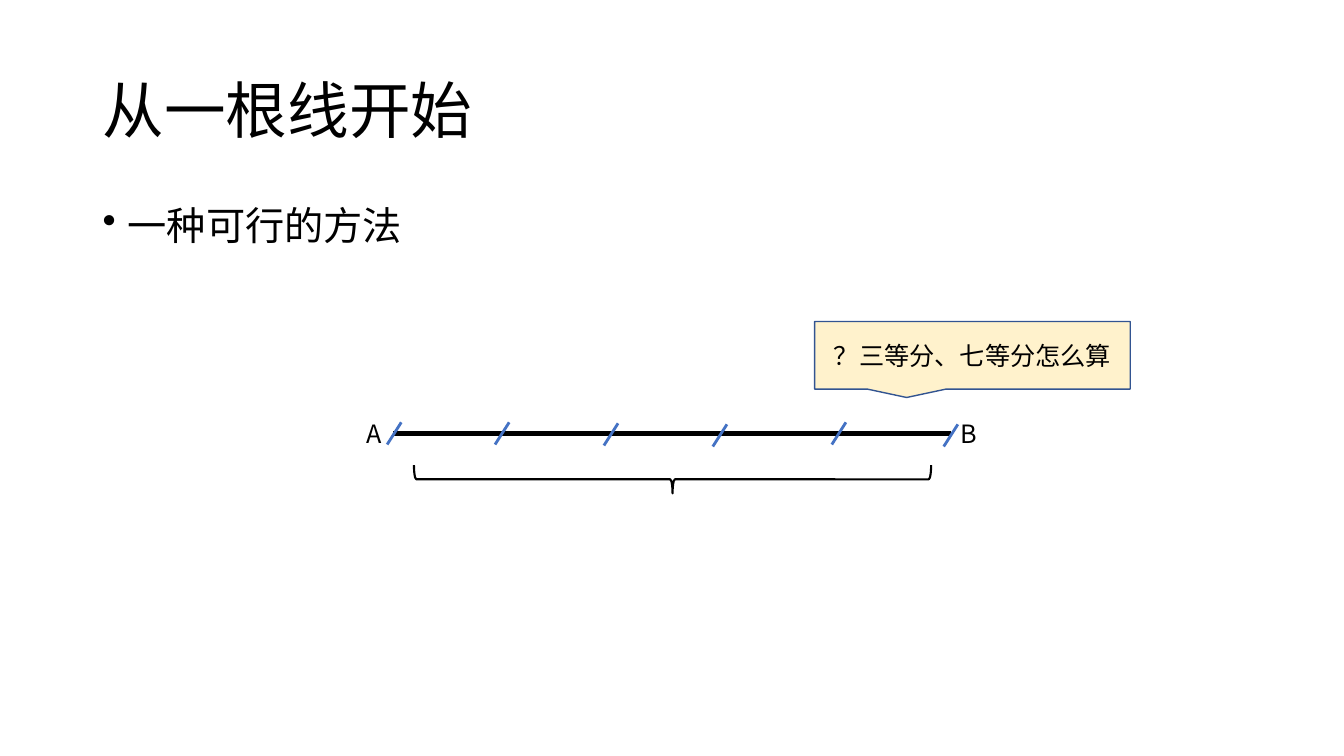
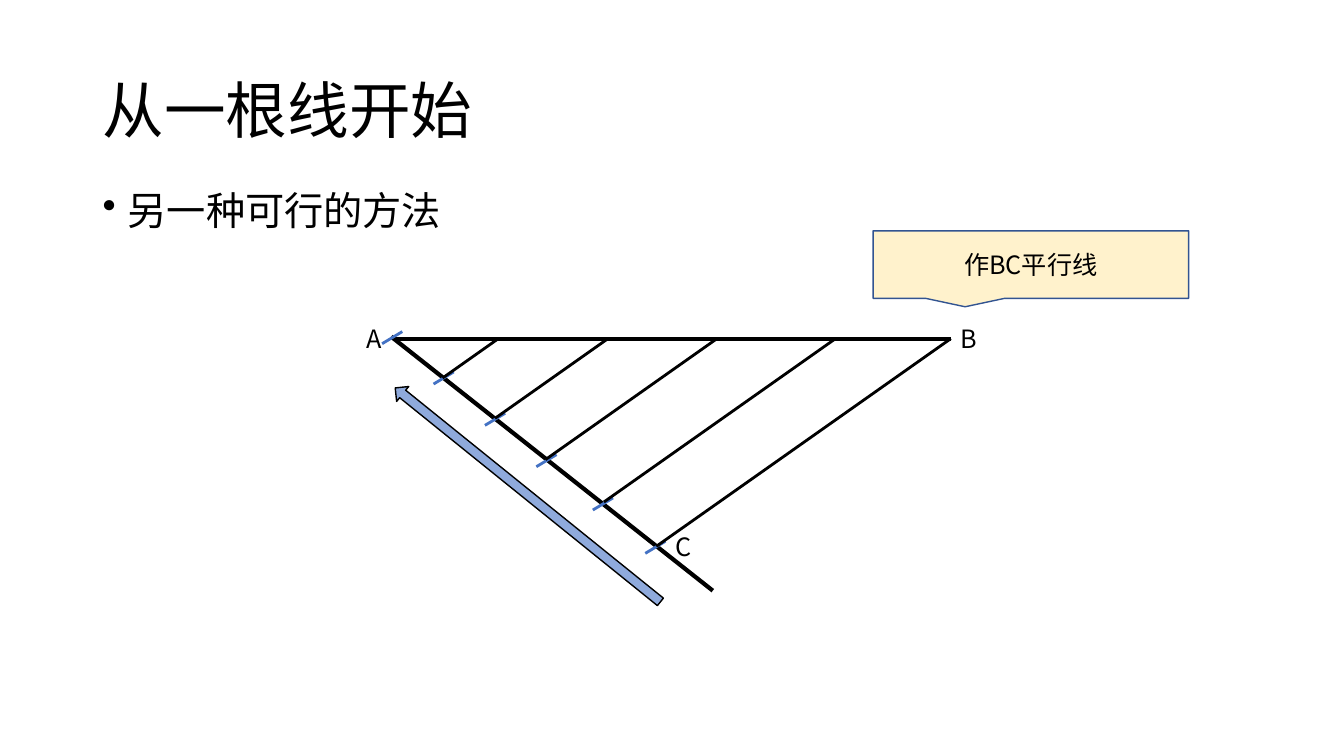
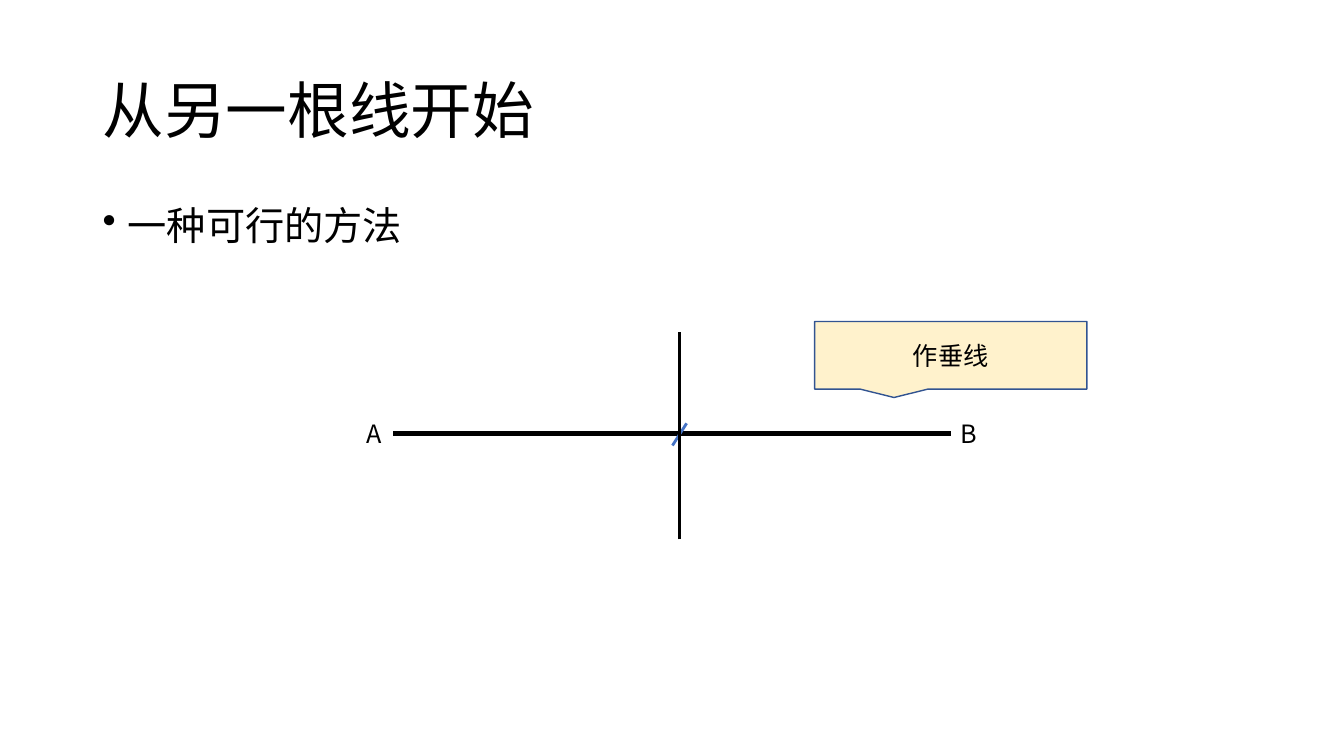
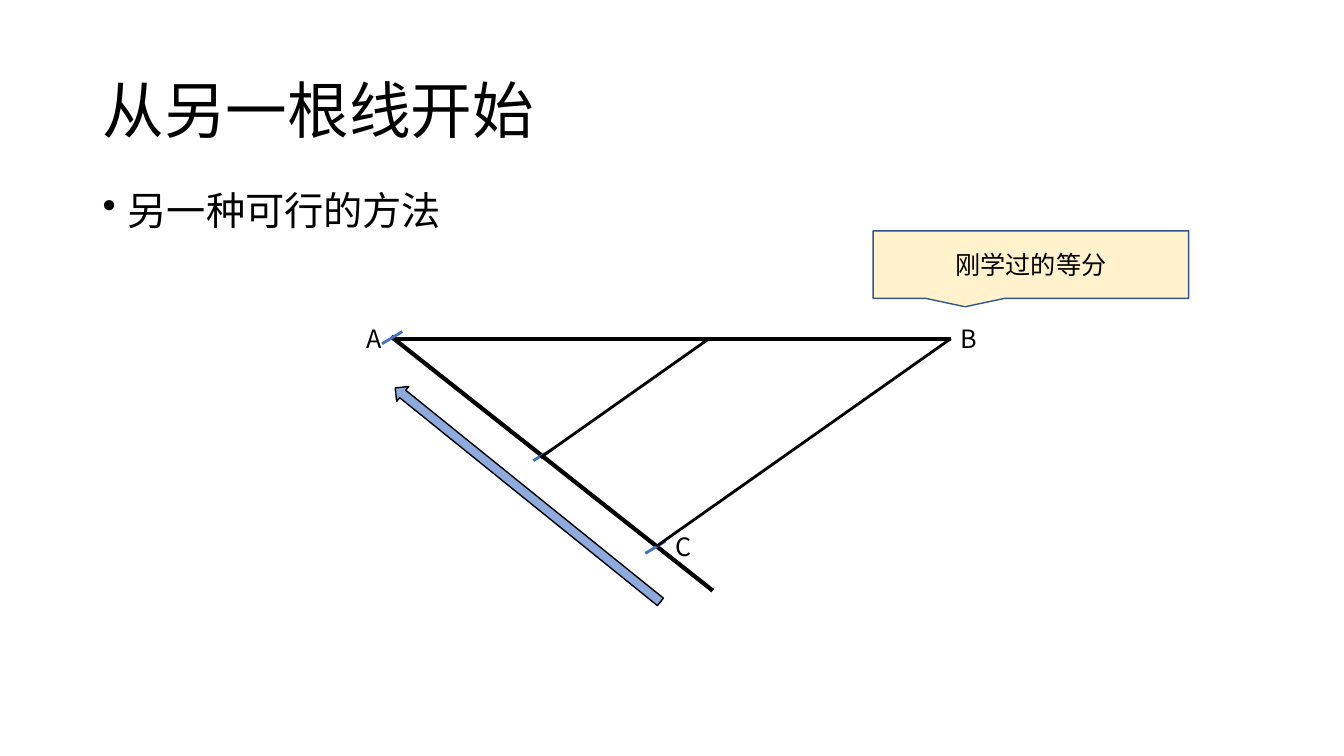
import pptx
import pptx.util
import pptx.dml.color
import pptx.enum.shapes
import pptx.enum.text
import pptx.oxml.ns
import lxml.etree

Inches = pptx.util.Inches
Pt = pptx.util.Pt
RGBColor = pptx.dml.color.RGBColor
Shape = pptx.enum.shapes.MSO_SHAPE
Anchor = pptx.enum.text.MSO_ANCHOR
qn = pptx.oxml.ns.qn

FONT = "Noto Sans CJK SC"
BLACK = RGBColor(0x00, 0x00, 0x00)
TICK_BLUE = RGBColor(0x44, 0x72, 0xC4)
ARROW_BLUE = RGBColor(0x8F, 0xAA, 0xDC)
CALLOUT_FILL = RGBColor(0xFF, 0xF2, 0xCC)
CALLOUT_LINE = RGBColor(0x32, 0x54, 0x91)

LEFT_END, RIGHT_END = 3.9, 9.43
MEASURE_Y, PARALLEL_Y = 4.3, 3.36
POINT_C = (6.51, 5.42)
STEEP_TICK = (0.07, 0.11)
FLAT_TICK = (0.1, 0.06)

# Ticks are centre points; parallels are the points where lines parallel to BC start.
SLIDES = [
    {"title": "从一根线开始", "method": "measure", "body": "一种可行的方法",
     "callout": ("？三等分、七等分怎么算", 3.13), "brace": True,
     "ticks": [(3.91, 4.3), (4.98, 4.3), (6.06, 4.31),
               (7.14, 4.32), (8.32, 4.3), (9.43, 4.32)]},
    {"title": "从一根线开始", "method": "parallel", "body": "另一种可行的方法",
     "callout": ("作BC平行线", 3.13),
     "ticks": [(3.89, 3.35), (4.4, 3.75), (4.91, 4.16),
               (5.42, 4.57), (5.98, 5), (6.5, 5.43)],
     "parallels": [POINT_C, (5.99, 4.98), (5.41, 4.56), (4.91, 4.15), (4.39, 3.75)]},
    {"title": "从另一根线开始", "method": "measure", "body": "一种可行的方法",
     "callout": ("作垂线", 2.7), "perpendicular": 6.74,
     "ticks": [(6.74, 4.31)]},
    {"title": "从另一根线开始", "method": "parallel", "body": "另一种可行的方法",
     "callout": ("刚学过的等分", 3.13),
     "ticks": [(3.89, 3.35), (5.39, 4.51), (6.5, 5.43)],
     "parallels": [POINT_C, (5.36, 4.54)]},
]


def add_run(paragraph, text, size):
    run = paragraph.add_run()
    run.text = text
    run.font.size = Pt(size)
    run.font.name = FONT
    run.font.color.rgb = BLACK
    east_asian = lxml.etree.SubElement(run.font._element, qn("a:ea"))
    east_asian.set("typeface", FONT)


def add_text(shapes, box, text, size, anchor=Anchor.TOP):
    shape = shapes.add_textbox(*map(Inches, box))
    shape.text_frame.word_wrap = True
    shape.text_frame.vertical_anchor = anchor
    add_run(shape.text_frame.paragraphs[0], text, size)
    return shape


def add_title(slide, text):
    title = add_text(slide.shapes, (0.92, 0.4, 11.5, 1.45), text, 44, Anchor.MIDDLE)
    title.text_frame.paragraphs[0].line_spacing = 0.9


def add_bullet(slide, text, top):
    body = add_text(slide.shapes, (0.92, top, 11.5, 4.76), text, 28)
    paragraph = body.text_frame.paragraphs[0]
    paragraph.line_spacing = 0.9
    paragraph.space_before = Pt(10)
    properties = paragraph._p.get_or_add_pPr()
    properties.set("marL", str(Inches(0.25)))
    properties.set("indent", str(-Inches(0.25)))
    lxml.etree.SubElement(properties, qn("a:buChar")).set("char", "•")


def add_label(shapes, text, left, top, width=0.36):
    label = add_text(shapes, (left, top, width, 0.4), text, 18)
    label.text_frame.word_wrap = False
    label.text_frame.auto_size = pptx.enum.text.MSO_AUTO_SIZE.SHAPE_TO_FIT_TEXT
    return label


def add_line(shapes, start, end, width, color=BLACK):
    line = shapes.add_connector(pptx.enum.shapes.MSO_CONNECTOR.STRAIGHT,
                                *map(Inches, start + end))
    line.line.color.rgb = color
    line.line.width = Pt(width)
    lxml.etree.SubElement(line._element.spPr, qn("a:effectLst"))
    return line


def add_ticks(shapes, centers, half_size):
    dx, dy = half_size
    for x, y in centers:
        add_line(shapes, (x + dx, y - dy), (x - dx, y + dy), 2, TICK_BLUE)


def add_outlined(slide, kind, box, line_color, line_width, fill=None, rotation=0):
    shape = slide.shapes.add_shape(kind, *map(Inches, box))
    shape.shadow.inherit = False
    shape.rotation = rotation
    shape.line.color.rgb = line_color
    shape.line.width = Pt(line_width)
    if fill is None:
        shape.fill.background()
    else:
        shape.fill.solid()
        shape.fill.fore_color.rgb = fill
    return shape


def add_callout(slide, text, left, top, width):
    callout = add_outlined(slide, Shape.RECTANGULAR_CALLOUT, (left, top, width, 0.67),
                           CALLOUT_LINE, 1, CALLOUT_FILL)
    callout.text_frame.vertical_anchor = Anchor.MIDDLE
    paragraph = callout.text_frame.paragraphs[0]
    paragraph.alignment = pptx.enum.text.PP_ALIGN.CENTER
    add_run(paragraph, text, 18)


def add_segment(slide, y):
    """Draw AB with its two labels, joined to their facing sides."""
    label_a = add_label(slide.shapes, "A", LEFT_END - 0.36, y - 0.2)
    label_b = add_label(slide.shapes, "B", RIGHT_END, y - 0.2, 0.34)
    segment = add_line(slide.shapes, (LEFT_END, y), (RIGHT_END, y), 3)
    segment.begin_connect(label_a, 3)
    segment.end_connect(label_b, 1)


def draw_measure(slide, content):
    add_bullet(slide, content["body"], 2)
    add_segment(slide, MEASURE_Y)
    if content.get("brace"):
        add_outlined(slide, Shape.RIGHT_BRACE, (6.53, 2.19, 0.28, 5.13),
                     BLACK, 1.5, rotation=90)
    text, width = content["callout"]
    add_callout(slide, text, 8.08, 3.19, width)
    add_ticks(slide.shapes, content["ticks"], STEEP_TICK)
    if "perpendicular" in content:
        x = content["perpendicular"]
        add_line(slide.shapes, (x, 5.35), (x, 3.29), 2)


def draw_parallel(slide, content):
    add_bullet(slide, content["body"], 1.85)
    add_segment(slide, PARALLEL_Y)
    ray = slide.shapes.add_group_shape().shapes
    add_line(ray, (3.88, 3.34), (7.07, 5.86), 3)
    add_label(ray, "C", 6.6, 5.22)
    add_ticks(ray, content["ticks"], FLAT_TICK)
    text, width = content["callout"]
    add_callout(slide, text, 8.66, 2.29, width)
    run_per_rise = (RIGHT_END - POINT_C[0]) / (POINT_C[1] - PARALLEL_Y)
    for x, y in content["parallels"]:
        end_x = x + (y - PARALLEL_Y) * run_per_rise
        add_line(slide.shapes, (x, y), (end_x, PARALLEL_Y), 2)
    add_outlined(slide, Shape.DOWN_ARROW, (5.14, 3.22, 0.19, 3.38),
                 BLACK, 1, ARROW_BLUE, 128.9)


def main():
    presentation = pptx.Presentation()
    presentation.slide_width = Inches(13.33)
    presentation.slide_height = Inches(7.5)
    draw = {"measure": draw_measure, "parallel": draw_parallel}
    for content in SLIDES:
        slide = presentation.slides.add_slide(presentation.slide_layouts[6])
        add_title(slide, content["title"])
        draw[content["method"]](slide, content)
    presentation.save("out.pptx")


if __name__ == "__main__":
    main()
